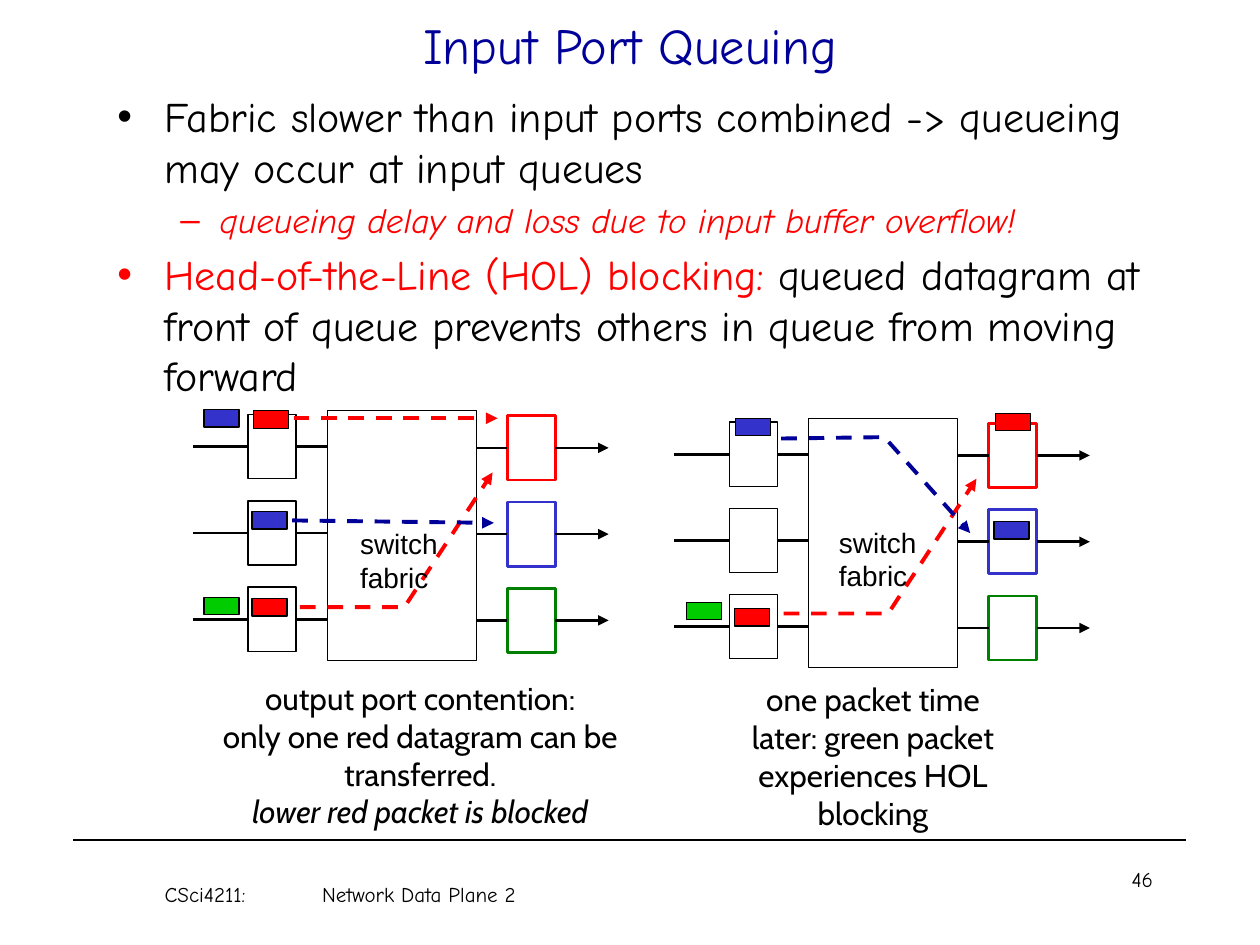
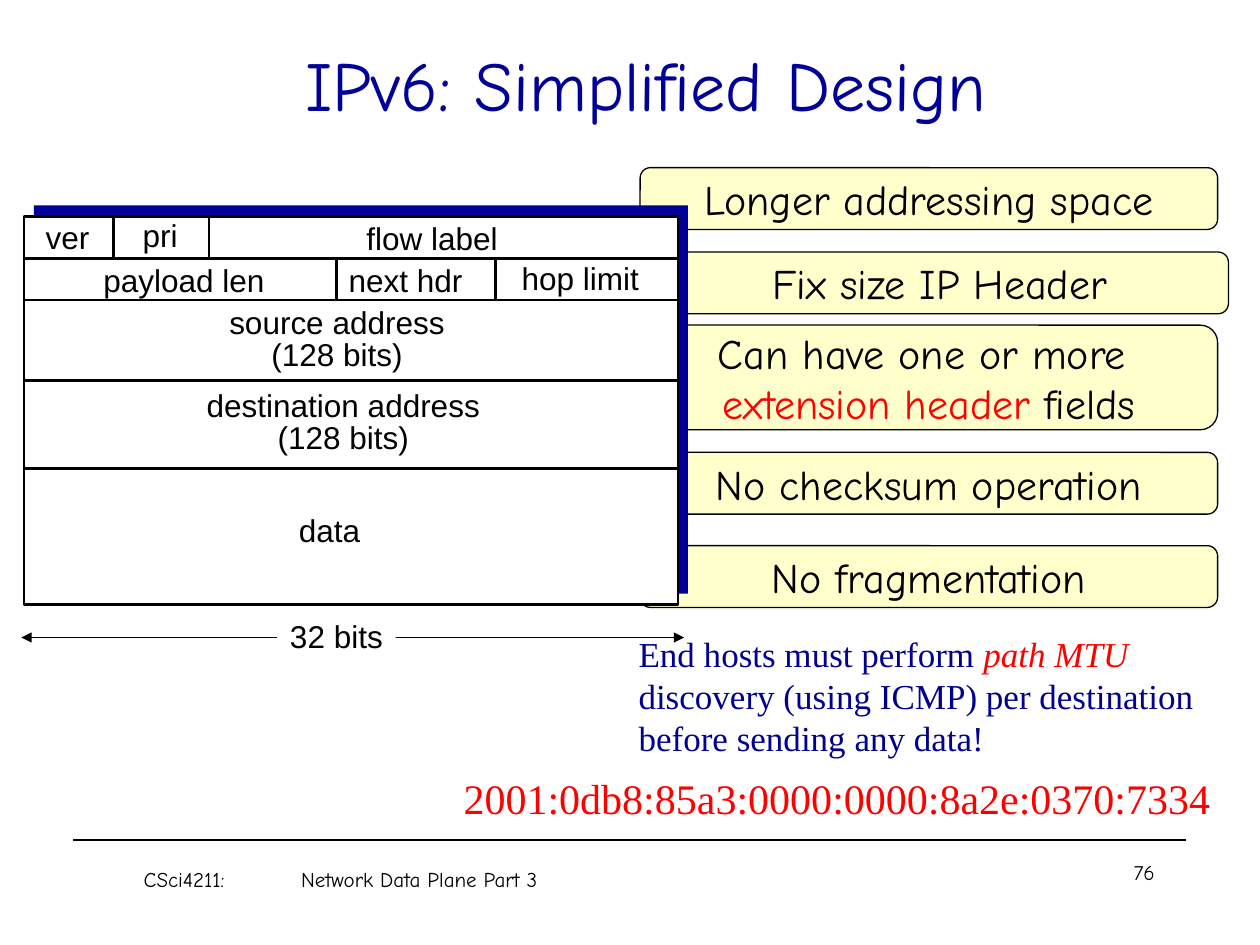
from dataclasses import dataclass
from typing import NamedTuple, Optional

from lxml.etree import SubElement
from pptx import Presentation
from pptx.dml.color import RGBColor
from pptx.enum.dml import MSO_LINE
from pptx.enum.shapes import MSO_CONNECTOR, MSO_SHAPE
from pptx.enum.text import MSO_ANCHOR, MSO_AUTO_SIZE, PP_ALIGN
from pptx.oxml.ns import qn
from pptx.util import Pt

BLACK, WHITE, RED, NAVY = "000000", "FFFFFF", "FF0000", "000099"
BLUE, GREEN, DARK_GREEN, CREAM = "3333CC", "00CC00", "008000", "FFFFCC"
COMIC, CABIN, ARIAL, TIMES = "Comic Neue", "Cabin", "Arial", "Times New Roman"
LEFT, CENTER, RIGHT = PP_ALIGN.LEFT, PP_ALIGN.CENTER, PP_ALIGN.RIGHT


class Box(NamedTuple):
    x: float
    y: float
    w: float
    h: float


class Span(NamedTuple):
    text: str
    color: Optional[str] = None
    italic: bool = False
    size: Optional[float] = None


@dataclass
class Packet:
    x: float
    y: float
    color: str


@dataclass
class Route:
    color: str
    points: list


@dataclass
class Panel:
    """One switch diagram, placed by the top left corner of its fabric."""
    x: float
    y: float
    label: tuple
    packets: list
    routes: list
    caption_box: Box
    caption: list


@dataclass
class Callout:
    box: Box
    lines: list


@dataclass
class Field:
    box: Box
    lines: list


def rgb(color):
    return RGBColor.from_string(color)


def pts(values):
    return [Pt(v) for v in values]


def write(tf, *lines, size, font=COMIC, color=BLACK, align=LEFT, spacing=None):
    """Fill a text frame; each line is a string or a list of spans."""
    for i, line in enumerate(lines):
        p = tf.paragraphs[0] if i == 0 else tf.add_paragraph()
        p.alignment = align
        if spacing:
            p.line_spacing = spacing
        for span in [Span(line)] if isinstance(line, str) else line:
            r = p.add_run()
            r.text = span.text
            r.font.name = font
            r.font.size = Pt(span.size or size)
            r.font.italic = span.italic
            r.font.color.rgb = rgb(span.color or color)


def add_text(s, box, *lines, wrap=True, **fmt):
    tf = s.shapes.add_textbox(*pts(box)).text_frame
    tf.word_wrap = wrap
    write(tf, *lines, **fmt)
    return tf


def add_box(s, box, fill=WHITE, line=BLACK, width=0.75, kind=MSO_SHAPE.RECTANGLE):
    shape = s.shapes.add_shape(kind, *pts(box))
    shape.shadow.inherit = False
    shape.fill.solid()
    shape.fill.fore_color.rgb = rgb(fill)
    if line:
        shape.line.color.rgb = rgb(line)
        shape.line.width = Pt(width)
    else:
        shape.line.fill.background()
    return shape


def style_line(shape, color, width, dash=False, ends=()):
    """Set a line's look; ends holds "headEnd" and/or "tailEnd"."""
    shape.line.color.rgb = rgb(color)
    shape.line.width = Pt(width)
    if dash:
        shape.line.dash_style = MSO_LINE.DASH
    ln = shape._element.spPr.find(qn("a:ln"))
    for end in ends:
        SubElement(ln, qn(f"a:{end}"), type="triangle")


def add_line(s, x1, y1, x2, y2, color=BLACK, width=1.5, dash=False, ends=()):
    c = s.shapes.add_connector(MSO_CONNECTOR.STRAIGHT, *pts((x1, y1, x2, y2)))
    style_line(c, color, width, dash, ends)
    SubElement(c._element.spPr, qn("a:effectLst"))
    return c


def add_route(s, route):
    """Draw a dashed packet route, straight or bent, ending in an arrowhead."""
    start, *rest = [tuple(pts(point)) for point in route.points]
    if len(rest) == 1:
        add_line(s, *route.points[0], *route.points[1], route.color, 2.25, True, ["tailEnd"])
        return
    fb = s.shapes.build_freeform(*start)
    fb.add_line_segments(rest, close=False)
    shape = fb.convert_to_shape()
    shape.shadow.inherit = False
    shape.fill.background()
    style_line(shape, route.color, 2.25, True, ["tailEnd"])


def place(shape, box):
    shape.left, shape.top, shape.width, shape.height = pts(box)


def add_title(s, text, box, size):
    place(s.shapes.title, box)
    tf = s.shapes.title.text_frame
    tf.auto_size = MSO_AUTO_SIZE.NONE
    tf.vertical_anchor = MSO_ANCHOR.MIDDLE
    write(tf, text, size=size, color=NAVY, align=CENTER)


def add_footer(s, text, x, y, number, number_right, number_y):
    add_line(s, 42, 480, 678, 480, width=0.75)
    tf = add_text(s, Box(x, y, 270, 24), f"CSci4211:\t{text}", size=12)
    tabs = SubElement(tf.paragraphs[0]._p.get_or_add_pPr(), qn("a:tabLst"))
    SubElement(tabs, qn("a:tab"), pos=str(Pt(90)), algn="l")
    add_text(s, Box(number_right - 150, number_y, 150, 36), number, size=12, align=RIGHT)


def add_panel(s, panel):
    fabric_w, port_w, port_h, row_gap = 85, 27.4, 36.7, 49.3
    x, y = panel.x, panel.y
    add_box(s, Box(x, y, fabric_w, 142.6))
    for i, color in enumerate([RED, BLUE, DARK_GREEN]):
        top = y + 2.2 + i * row_gap
        mid = top + port_h / 2
        port_in = add_box(s, Box(x - 45.4, top, port_w, port_h))
        port_out = add_box(s, Box(x + 102.8, top + 0.7, port_w, port_h), line=color, width=1.5)
        add_line(s, x - 77, mid, x - 45.4, mid).end_connect(port_in, 1)
        add_line(s, x, mid, x, mid).begin_connect(port_in, 3)
        add_line(s, x + fabric_w, mid + 0.7, x, mid).end_connect(port_out, 1)
        add_line(s, x, mid, x + 160.6, mid + 0.7, ends=["tailEnd"]).begin_connect(port_out, 3)
    for route in panel.routes:
        add_route(s, route)
    for packet in panel.packets:
        add_box(s, Box(packet.x, packet.y, 20, 10), fill=packet.color)
    add_text(s, Box(*panel.label, 59, 46), "switch", "fabric", wrap=False, size=16, font=ARIAL)
    add_text(s, panel.caption_box, *panel.caption, size=18, font=CABIN, align=CENTER)


PANELS = [
    Panel(187.2, 234.7, (198.7, 297.4),
          [Packet(144.7, 234.7, RED), Packet(144, 292.3, BLUE), Packet(144, 342, RED),
           Packet(116.6, 234, BLUE), Packet(116.6, 341.3, GREEN)],
          [Route(RED, [(167.8, 239), (284.4, 239)]),
           Route(RED, [(171.4, 347), (231.1, 347), (281.5, 270)]),
           Route(NAVY, [(167, 297.4), (282.2, 298.8)])],
          Box(106.6, 384.5, 267, 93.6),
          ["output port contention:", "only one red datagram can be transferred.",
           [Span("lower red packet is blocked", italic=True)]]),
    Panel(462.2, 239, (472.3, 296.6),
          [Packet(568.8, 236.2, RED), Packet(420.5, 239, BLUE), Packet(419.8, 347.8, RED),
           Packet(392.4, 344.2, GREEN), Packet(568.1, 298.1, BLUE)],
          [Route(RED, [(447.8, 350.6), (507.6, 350.6), (558, 273.6)]),
           Route(NAVY, [(446.4, 250.6), (505.4, 249.8), (554.4, 304.6)])],
          Box(411, 385.2, 175.7, 93.6),
          ["one packet time later: green packet experiences HOL blocking"]),
]

CALLOUTS = [
    Callout(Box(365.8, 258.5, 330, 35.3), ["No checksum operation"]),
    Callout(Box(365.8, 311.8, 330, 35.3), ["No fragmentation"]),
    Callout(Box(365.8, 95.8, 330, 35.3), ["Longer addressing space"]),
    Callout(Box(372, 144, 330, 35.3), ["Fix size IP Header"]),
    Callout(Box(365.8, 185.8, 330, 59.8),
            ["Can have one or more ", [Span("extension header ", RED), Span("fields")]]),
]

FIELDS = [
    Field(Box(18.7, 121, 39.6, 28.8), ["ver"]),
    Field(Box(74.2, 120.2, 34.6, 28.8), ["pri"]),
    Field(Box(202.3, 121.7, 89.3, 28.8), ["flow label"]),
    Field(Box(51.8, 145.4, 106.6, 28.8), ["payload len"]),
    Field(Box(192.2, 145.4, 79.2, 28.8), ["next hdr"]),
    Field(Box(290.9, 144.7, 81.4, 28.8), ["hop limit"]),
    Field(Box(123.8, 172.8, 137.5, 43.9), ["source address", "(128 bits)"]),
    Field(Box(110.9, 220.3, 170.6, 43.9), ["destination address", "(128 bits)"]),
    Field(Box(163.4, 288.7, 49.7, 28.8), ["data"]),
]


def build_queuing_slide(prs):
    s = prs.slides.add_slide(prs.slide_layouts[1])
    add_title(s, "Input Port Queuing", Box(54, 7.2, 612, 36), 28.8)
    body = s.placeholders[1]
    place(body, Box(59.8, 48.2, 638, 237.6))
    tf = body.text_frame
    tf.auto_size = MSO_AUTO_SIZE.NONE
    write(tf,
          "Fabric slower than input ports combined -> queueing may occur at input queues",
          [Span("queueing delay and loss due to input buffer overflow!", RED, True, 20)],
          [Span("Head-of-the-Line (HOL) blocking:", RED),
           Span(" queued datagram at front of queue prevents others in queue from moving forward")],
          size=24)
    tf.paragraphs[0].space_before = Pt(0)
    for p, level, margin, indent in zip(tf.paragraphs, (0, 1, 0), (27, 58.5, 27), (27, 22.5, 27)):
        p.level = level
        pPr = p._p.get_or_add_pPr()
        pPr.set("marL", str(Pt(margin)))
        pPr.set("indent", str(-Pt(indent)))
    for panel in PANELS:
        add_panel(s, panel)
    add_footer(s, "Network Data Plane 2", 87, 500.4, "46", 666, 491.8)


def add_ipv6_header(s):
    left, top, right = 13.7, 123.8, 387.4
    first, second, source, destination = 147.6, 171.4, 217.4, 267.8
    add_box(s, Box(19.4, 117.4, 373.7, 221.8), fill=NAVY, line=None)
    add_box(s, Box(left, top, right - left, 221.8), width=1.5)
    for y in (first, second, source, destination):
        add_line(s, left, y, right, y)
    for x in (64.8, 119.5):
        add_line(s, x, top, x, first)
    for x in (192.2, 283):
        add_line(s, x, first, x, second)
    for field in FIELDS:
        add_text(s, field.box, *field.lines, wrap=False, size=18, font=ARIAL, align=CENTER,
                 spacing=0.85 if len(field.lines) > 1 else None)
    add_line(s, 12.2, 364.3, 391, 364.3, width=0.75, ends=["headEnd", "tailEnd"])
    tf = add_box(s, Box(158.4, 349.2, 67.7, 28.8), line=None).text_frame
    tf.word_wrap = False
    write(tf, "32 bits", size=18, font=ARIAL, align=CENTER)


def build_ipv6_slide(prs):
    s = prs.slides.add_slide(prs.slide_layouts[5])
    add_title(s, "IPv6: Simplified Design", Box(38.9, 2.9, 660, 90), 40)
    for callout in CALLOUTS:
        shape = add_box(s, callout.box, fill=CREAM, kind=MSO_SHAPE.ROUNDED_RECTANGLE)
        tf = shape.text_frame
        tf.word_wrap = False
        tf.vertical_anchor = MSO_ANCHOR.MIDDLE
        write(tf, *callout.lines, size=24, align=CENTER)
    add_ipv6_header(s)
    add_text(s, Box(357.8, 357.8, 334, 80),
             [Span("End hosts must perform "), Span("path MTU", RED, True)],
             "discovery (using ICMP) per destination", "before sending any data!",
             wrap=False, size=20, font=TIMES, color="000090")
    add_text(s, Box(257.8, 437.8, 446.4, 36), "2001:0db8:85a3:0000:0000:8a2e:0370:7334",
             wrap=False, size=24, font=TIMES, color=RED)
    add_footer(s, "Network Data Plane Part 3", 75, 491.8, "76", 667, 487.4)


def main():
    prs = Presentation()
    prs.slide_width, prs.slide_height = Pt(720), Pt(540)
    build_queuing_slide(prs)
    build_ipv6_slide(prs)
    prs.save("out.pptx")


if __name__ == "__main__":
    main()
